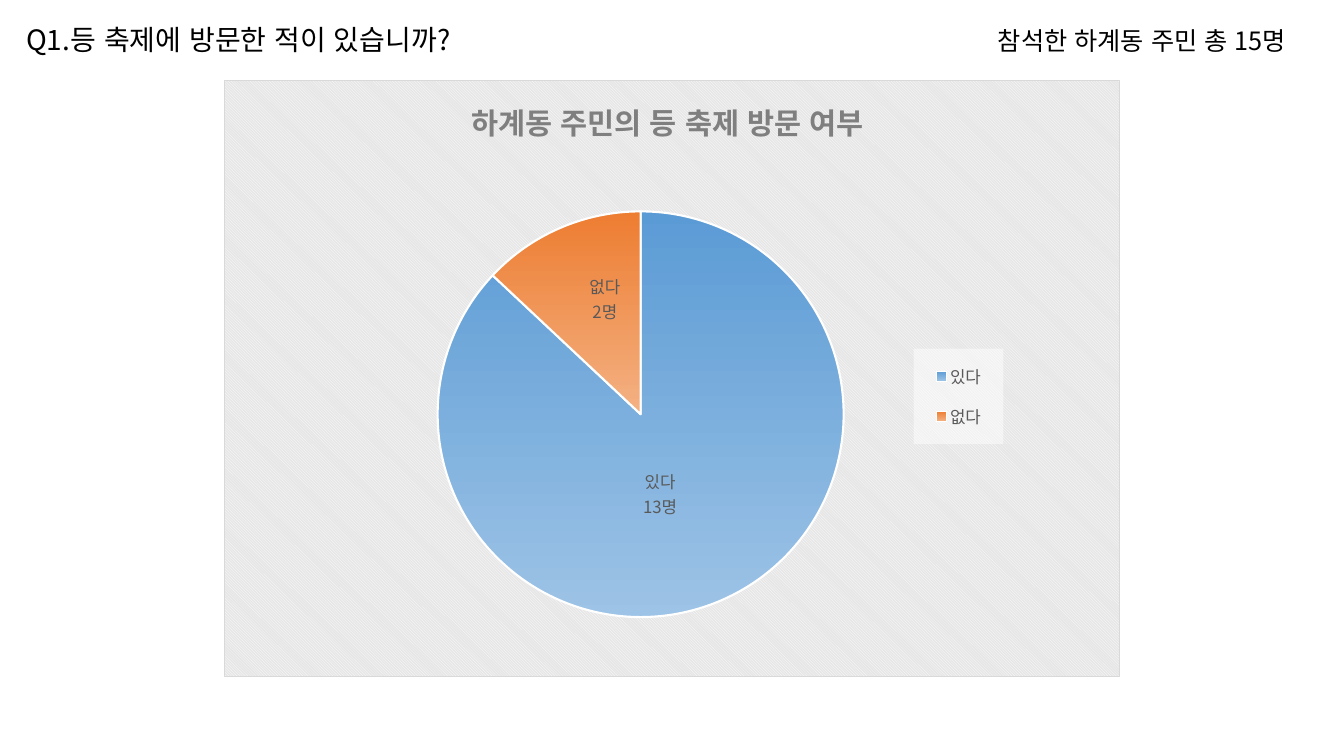
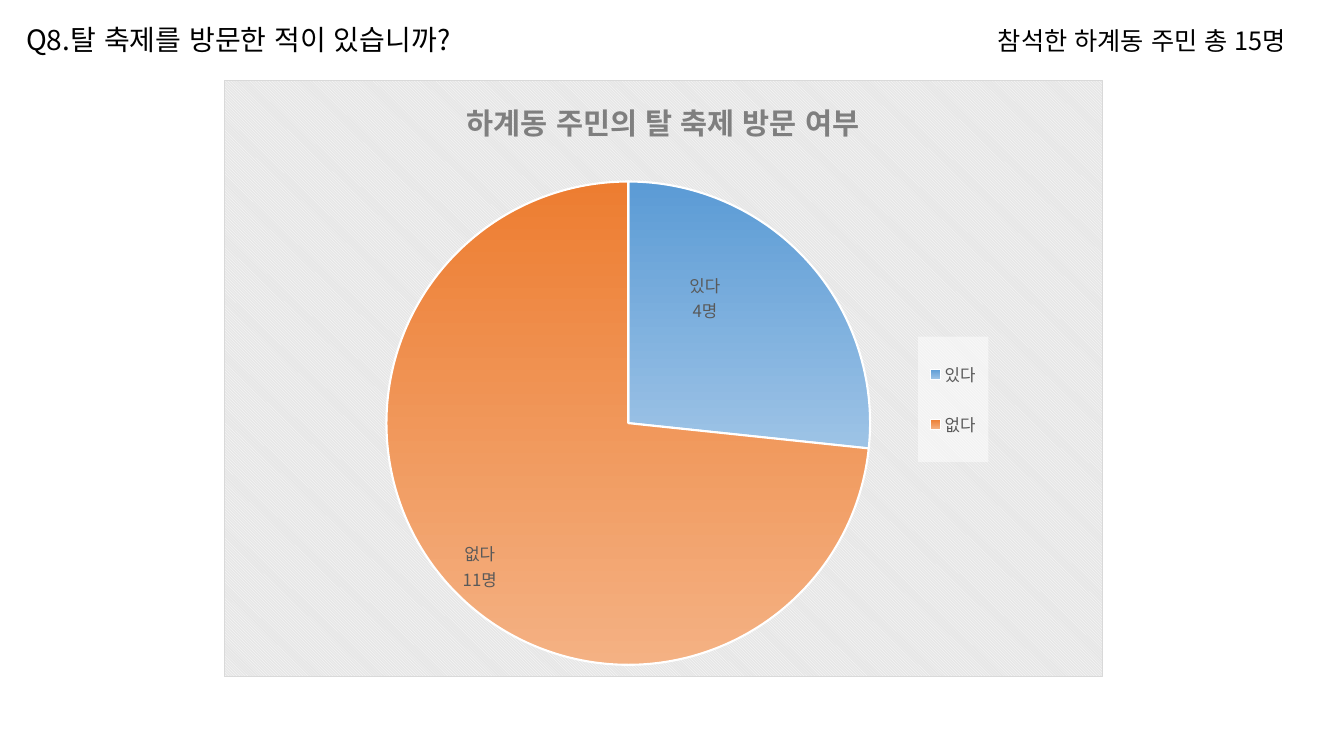
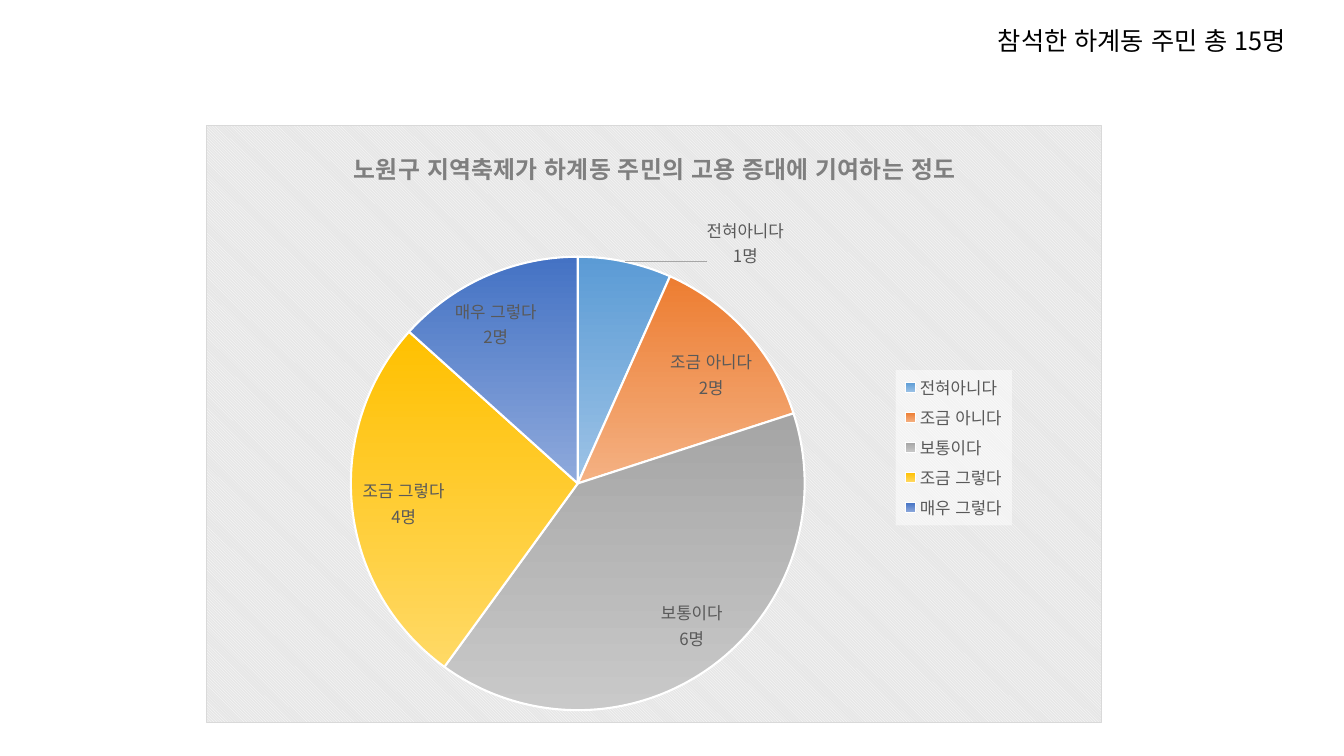
from lxml.etree import SubElement
from pptx import Presentation
from pptx.chart.data import CategoryChartData
from pptx.dml.color import RGBColor
from pptx.enum.chart import XL_CHART_TYPE, XL_LABEL_POSITION, XL_LEGEND_POSITION
from pptx.enum.lang import MSO_LANGUAGE_ID
from pptx.enum.text import MSO_ANCHOR, MSO_AUTO_SIZE, PP_ALIGN
from pptx.oxml import parse_xml
from pptx.oxml.ns import nsdecls, qn
from pptx.util import Inches, Pt

FONT = "Noto Sans CJK KR"
BLACK, GRAY, TITLE_GRAY, WHITE = "000000", "595959", "7F7F7F", "FFFFFF"
SLICE_GRADIENTS = [("5B9BD5", "9DC3E6"), ("ED7D31", "F4B183"), ("A5A5A5", "C9C9C9"),
                   ("FFC000", "FFD966"), ("4472C4", "8FAADC")]
ATTENDANCE = "참석한 하계동 주민 총 15명"
QUESTION_BOX = (0.16, 0.17, 4.8, 0.44)
ATTENDANCE_BOX = (9.8, 0.2, 3.36, 0.4)

# Boxes are inches; title, plot, legend and label shifts are shares of the chart.
# Each slice: category, value, people, label shift from its place outside the pie.
SURVEYS = [
    dict(question="Q1.등 축제에 방문한 적이 있습니까?",
         title="하계동 주민의 등 축제 방문 여부", title_size=21, title_at=(0.27, 0.02),
         box=(2.22, 0.79, 8.89, 5.93), plot=(0.23, 0.22, 0.47, 0.68),
         legend=(0.77, 0.45, 0.1, 0.16), series_labels=False, label_position=None,
         slices=[("있다", 87, 13, (-0.09, -0.23)), ("없다", 13, 2, (0.07, 0.17))]),
    dict(question="Q8.탈 축제를 방문한 적이 있습니까?",
         title="하계동 주민의 탈 축제 방문 여부", title_size=21, title_at=(0.27, 0.02),
         box=(2.22, 0.79, 8.72, 5.93), plot=(0.18, 0.17, 0.56, 0.81),
         legend=(0.79, 0.43, 0.08, 0.21), series_labels=True, label_position=None,
         slices=[("있다", 4, 4, (-0.14, 0.11)), ("없다", 11, 11, (0.06, -0.08))]),
    dict(question=None,
         title="노원구 지역축제가 하계동 주민의 고용 증대에 기여하는 정도",
         title_size=17, title_at=(0.16, 0.03),
         box=(2.04, 1.24, 8.89, 5.93), plot=(0.16, 0.22, 0.51, 0.76),
         legend=(0.77, 0.41, 0.13, 0.26), series_labels=True,
         label_position=XL_LABEL_POSITION.BEST_FIT,
         slices=[("전혀아니다", 1, 1, (0.09, 0.02)), ("조금 아니다", 2, 2, (-0.09, 0.12)),
                 ("보통이다", 6, 6, (-0.06, -0.12)), ("조금 그렇다", 4, 4, (0.11, -0.05)),
                 ("매우 그렇다", 2, 2, (0.06, 0.13))]),
]


def color(value):
    return RGBColor.from_string(value)


def set_font(font, size, ink=BLACK, bold=False):
    font.name, font.size, font.bold = FONT, Pt(size), bold
    font.language_id = MSO_LANGUAGE_ID.KOREAN
    font.color.rgb = color(ink)


def write(text_frame, text, **font_options):
    text_frame.text = text
    for paragraph in text_frame.paragraphs:
        for run in paragraph.runs:
            set_font(run.font, **font_options)


def add_east_asian_font(element):
    """Give every run with a Latin font the same font for Korean."""
    for latin in list(element.iter(qn("a:latin"))):
        latin.addnext(parse_xml(f'<a:ea {nsdecls("a")} typeface="{FONT}"/>'))


def format_header(shape, text, box, size):
    shape.left, shape.top, shape.width, shape.height = map(Inches, box)
    text_frame = shape.text_frame
    write(text_frame, text, size=size)
    text_frame.word_wrap = False
    text_frame.auto_size = MSO_AUTO_SIZE.SHAPE_TO_FIT_TEXT
    text_frame.vertical_anchor = MSO_ANCHOR.TOP
    text_frame.paragraphs[0].alignment = PP_ALIGN.LEFT


def set_layout(element, shares, after=None, edge=True, inner=False):
    """Write a manual layout of x, y and optionally width, height."""
    old = element.find(qn("c:layout"))
    if old is not None:
        element.remove(old)
    layout = parse_xml(f'<c:layout {nsdecls("c")}><c:manualLayout/></c:layout>')
    entries = [("layoutTarget", "inner")] if inner else []
    entries += [("xMode", "edge"), ("yMode", "edge")] if edge else []
    entries += zip("xywh", shares)
    for name, value in entries:
        SubElement(layout[0], qn(f"c:{name}")).set("val", str(value))
    if after is None:
        element.insert(0, layout)
    else:
        element.find(qn(after)).addnext(layout)


def format_slices(series, slices):
    for index, (category, _, people, shift) in enumerate(slices):
        point = series.points[index]
        fill = point.format.fill
        fill.gradient()
        fill.gradient_angle = 270
        for position, (stop, ink) in enumerate(zip(fill.gradient_stops, SLICE_GRADIENTS[index])):
            stop.color.rgb = color(ink)
            stop.position = position
        point.format.line.color.rgb = color(WHITE)
        point.format.line.width = Pt(1.5)
        write(point.data_label.text_frame, f"{category}\n{people}명", size=12, ink=GRAY)
        label = series._element.find(qn("c:dLbls")).findall(qn("c:dLbl"))[index]
        set_layout(label, shift, after="c:idx", edge=False)
        label.find(qn("c:showCatName")).set("val", "1")


def format_series_labels(labels, position):
    labels.show_value = labels.show_category_name = True
    set_font(labels.font, 12, GRAY)
    if position is not None:
        labels.position = position


def format_leader_lines(labels):
    leader = labels.find(qn("c:showLeaderLines"))
    if leader is None:
        leader = SubElement(labels, qn("c:showLeaderLines"))
    leader.set("val", "1")
    leader.addnext(parse_xml(
        f'<c:leaderLines {nsdecls("c", "a")}><c:spPr><a:ln w="9525"><a:solidFill>'
        '<a:srgbClr val="A6A6A6"/></a:solidFill></a:ln></c:spPr></c:leaderLines>'))


def format_legend(chart, shares):
    chart.has_legend = True
    legend = chart.legend
    legend.position = XL_LEGEND_POSITION.RIGHT
    legend.include_in_layout = False
    set_font(legend.font, 12, GRAY)
    set_layout(legend._element, shares, after="c:legendPos")
    legend._element.find(qn("c:overlay")).addnext(parse_xml(
        f'<c:spPr {nsdecls("c", "a")}><a:solidFill><a:srgbClr val="{WHITE}">'
        '<a:alpha val="50000"/></a:srgbClr></a:solidFill></c:spPr>'))


def add_pie(slide, survey):
    data = CategoryChartData()
    data.categories = [entry[0] for entry in survey["slices"]]
    data.add_series("Series 1", [entry[1] for entry in survey["slices"]])
    chart = slide.shapes.add_chart(
        XL_CHART_TYPE.PIE, *map(Inches, survey["box"]), data).chart
    set_font(chart.font, 10)
    chart.plots[0].vary_by_categories = True
    write(chart.chart_title.text_frame, survey["title"],
          size=survey["title_size"], ink=TITLE_GRAY, bold=True)
    set_layout(chart.chart_title._element, survey["title_at"], after="c:tx")
    series = chart.plots[0].series[0]
    format_slices(series, survey["slices"])
    if survey["series_labels"]:
        format_series_labels(series.data_labels, survey["label_position"])
    format_leader_lines(series._element.find(qn("c:dLbls")))
    format_legend(chart, survey["legend"])
    chart_space = chart._chartSpace
    chart_body = chart_space.find(qn("c:chart"))
    set_layout(chart_body.find(qn("c:plotArea")), survey["plot"], inner=True)
    chart_body.addnext(parse_xml(
        f'<c:spPr {nsdecls("c", "a")}><a:pattFill prst="dkDnDiag">'
        f'<a:fgClr><a:srgbClr val="{WHITE}"/></a:fgClr>'
        '<a:bgClr><a:srgbClr val="E6E6E6"/></a:bgClr></a:pattFill>'
        '<a:ln w="9525"><a:solidFill><a:srgbClr val="D9D9D9"/></a:solidFill></a:ln></c:spPr>'))
    add_east_asian_font(chart_space)


def main():
    presentation = Presentation()
    presentation.slide_width, presentation.slide_height = Inches(13.33), Inches(7.5)
    title_only, blank = presentation.slide_layouts[5], presentation.slide_layouts[6]
    for survey in SURVEYS:
        slide = presentation.slides.add_slide(title_only if survey["question"] else blank)
        add_pie(slide, survey)
        if survey["question"]:
            format_header(slide.shapes.title, survey["question"], QUESTION_BOX, 20)
        attendance = slide.shapes.add_textbox(*map(Inches, ATTENDANCE_BOX))
        format_header(attendance, ATTENDANCE, ATTENDANCE_BOX, 18)
        add_east_asian_font(slide._element)
    presentation.save("out.pptx")


if __name__ == "__main__":
    main()
